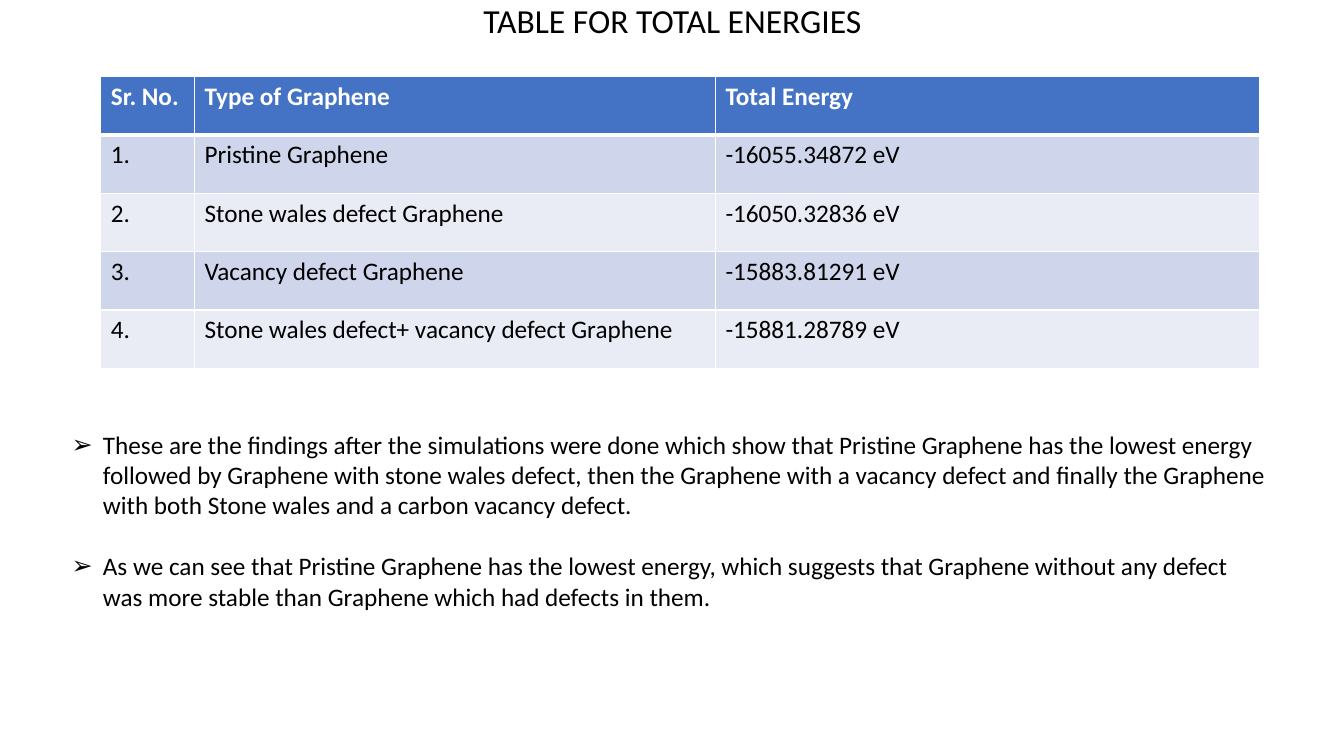
"""Builds a slide with a table of graphene total energies and two findings."""
from lxml import etree
from pptx import Presentation
from pptx.dml.color import RGBColor
from pptx.enum.text import MSO_ANCHOR, PP_ALIGN
from pptx.oxml.ns import qn
from pptx.util import Cm, Pt

CENTER, LEFT = PP_ALIGN.CENTER, PP_ALIGN.LEFT
MIDDLE, TOP = MSO_ANCHOR.MIDDLE, MSO_ANCHOR.TOP

TITLE = "TABLE FOR TOTAL ENERGIES"
HEADER = ("Sr. No.", "Type of Graphene", "Total Energy")
ENERGIES = [
    ("Pristine Graphene", "-16055.34872 eV"),
    ("Stone wales defect Graphene", "-16050.32836 eV"),
    ("Vacancy defect Graphene", "-15883.81291 eV"),
    ("Stone wales defect+ vacancy defect Graphene", "-15881.28789 eV"),
]
FINDINGS = [
    "These are the findings after the simulations were done which show that "
    "Pristine Graphene has the lowest energy followed by Graphene with stone "
    "wales defect, then the Graphene with a vacancy defect and finally the "
    "Graphene with both Stone wales and a carbon vacancy defect.",
    "As we can see that Pristine Graphene has the lowest energy, which suggests "
    "that Graphene without any defect was more stable than Graphene which had "
    "defects in them.",
]
COLORS = {"text": "000000", "white": "FFFFFF", "header": "4472C4",
          "odd": "CFD5EA", "even": "E9EBF5"}
FONT = "Calibri"
COLUMN_WIDTHS = (2.36, 13.13, 13.72)
ROW_HEIGHT = 1.47
BULLET_INDENT = Cm(0.79)


def place(shape, left, top, width, height):
    shape.left, shape.top = Cm(left), Cm(top)
    shape.width, shape.height = Cm(width), Cm(height)


def format_runs(paragraph, size, color="text", bold=False):
    for run in paragraph.runs:
        run.font.name = FONT
        run.font.size = Pt(size)
        run.font.bold = bold
        run.font.color.rgb = RGBColor.from_string(COLORS[color])


def add_borders(cell, bottom_width):
    properties = cell._tc.get_or_add_tcPr()
    widths = {"a:lnL": 1, "a:lnR": 1, "a:lnT": 1, "a:lnB": bottom_width}
    for tag, width in widths.items():
        line = etree.SubElement(properties, qn(tag), w=str(Pt(width)))
        fill = etree.SubElement(line, qn("a:solidFill"))
        etree.SubElement(fill, qn("a:srgbClr"), val=COLORS["white"])


def add_title(slide):
    title = slide.shapes.title
    place(title, 2.34, -1.27, 29.21, 3.68)
    title.text_frame.text = TITLE
    title.text_frame.vertical_anchor = MIDDLE
    paragraph = title.text_frame.paragraphs[0]
    paragraph.alignment = CENTER
    paragraph.line_spacing = 0.9
    format_runs(paragraph, 24)


def add_energy_table(slide):
    rows = [HEADER] + [(f"{number}.", *energy)
                       for number, energy in enumerate(ENERGIES, 1)]
    table = slide.shapes.add_table(
        len(rows), len(HEADER), Cm(2.54), Cm(1.93),
        Cm(sum(COLUMN_WIDTHS)), Cm(ROW_HEIGHT * len(rows))).table
    for column, width in zip(table.columns, COLUMN_WIDTHS):
        column.width = Cm(width)
    for row_index, row in enumerate(rows):
        is_header = row_index == 0
        fill = "header" if is_header else "odd" if row_index % 2 else "even"
        for column_index, text in enumerate(row):
            cell = table.cell(row_index, column_index)
            add_borders(cell, 3 if is_header else 1)
            cell.fill.solid()
            cell.fill.fore_color.rgb = RGBColor.from_string(COLORS[fill])
            cell.text_frame.text = text
            format_runs(cell.text_frame.paragraphs[0], 18,
                        "white" if is_header else "text", is_header)


def add_findings(slide):
    body = slide.placeholders[1]
    place(body, 1.55, 10.69, 30.73, 6.4)
    frame = body.text_frame
    frame.text = "\n".join(FINDINGS)
    frame.vertical_anchor = TOP
    for index, paragraph in enumerate(frame.paragraphs):
        properties = paragraph._p.get_or_add_pPr()
        properties.set("marL", str(BULLET_INDENT))
        properties.set("indent", str(-BULLET_INDENT))
        etree.SubElement(properties, qn("a:buChar"), char="➢")
        paragraph.alignment = LEFT
        paragraph.line_spacing = 1.0
        paragraph.space_before = Pt(22 if index else 0)
        format_runs(paragraph, 18)


def main():
    presentation = Presentation()
    presentation.slide_width, presentation.slide_height = Cm(33.87), Cm(19.05)
    slide = presentation.slides.add_slide(presentation.slide_layouts[1])
    add_title(slide)
    add_energy_table(slide)
    add_findings(slide)
    presentation.save("out.pptx")


if __name__ == "__main__":
    main()
